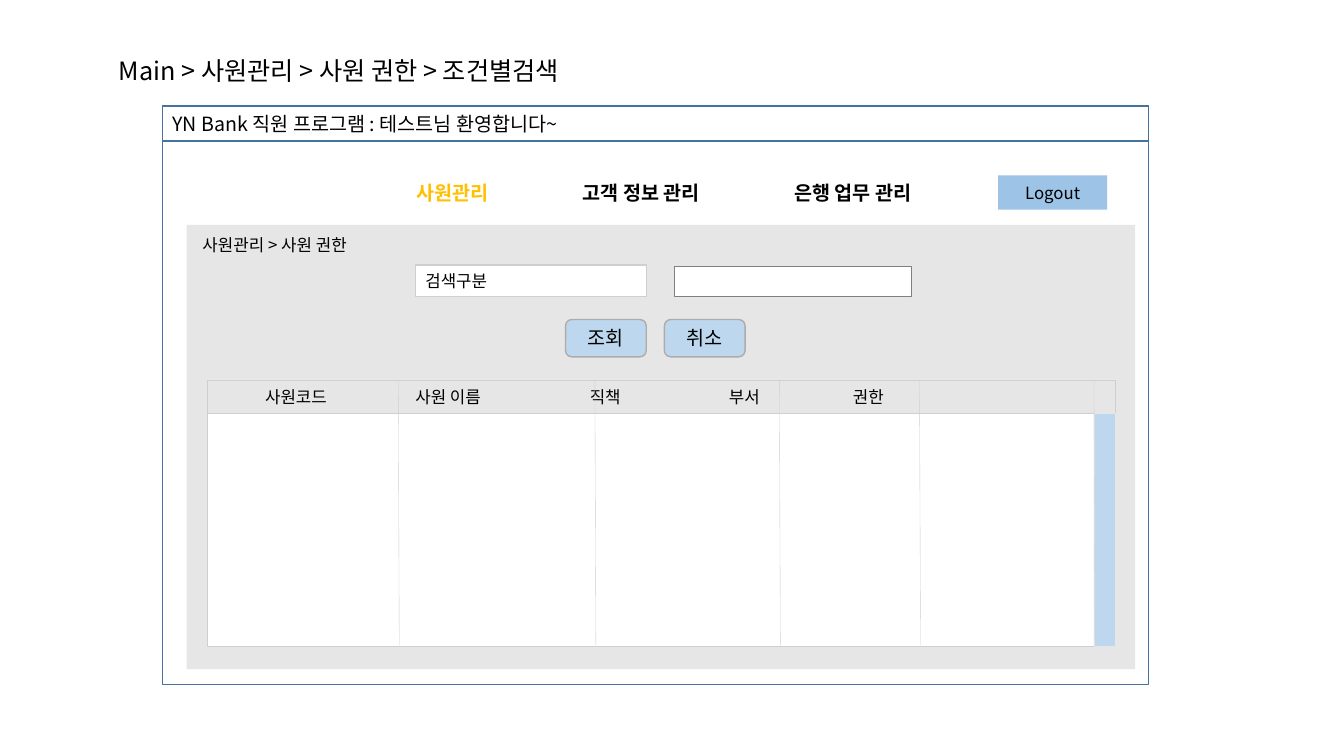
import pptx
import pptx.util
import pptx.dml.color
import pptx.enum.shapes
import pptx.enum.text
import pptx.oxml.ns
from dataclasses import dataclass
from lxml import etree

# Content: boxes are (left, top, width, height) in inches
TITLE = "Main > 사원관리 > 사원 권한 > 조건별검색"
TITLE_BOX = (1.08, 0.5, 8.64, 0.4)
WINDOW_BOX = (1.61, 1.05, 9.78, 5.74)
WELCOME = "YN Bank 직원 프로그램 : 테스트님 환영합니다~"
MENU = [("사원관리", 4.03, True), ("고객 정보 관리", 5.68, False),
        ("은행 업무 관리", 7.78, False)]
MENU_TOP, MENU_W, MENU_H = 1.74, 1.65, 0.34
LOGOUT_BOX = (9.9, 1.74, 1.08, 0.34)
PANEL_BOX = (1.85, 2.23, 9.41, 4.41)
BREADCRUMB = "사원관리 > 사원 권한"
BREADCRUMB_BOX = (1.91, 2.28, 2.59, 0.3)
SEARCH_TYPE_BOX = (4.12, 2.63, 2.29, 0.31)
SEARCH_INPUT_BOX = (6.69, 2.64, 2.35, 0.3)
BUTTONS = ["조회", "취소"]
BUTTON_BOX, BUTTON_STEP = (5.61, 3.17, 0.8, 0.37), 0.98
GRID_LEFT, GRID_TOP, GRID_W, GRID_H = 2.06, 3.77, 9, 2.64
HEADER_H, SCROLL_W = 0.33, 0.21
HEADINGS = [("사원코드", 2.63), ("사원 이름", 4.12), ("직책", 5.85),
            ("부서", 7.23), ("권한", 8.46)]
DIVIDERS = [3.95, 5.9, 7.73, 9.12, 10.85]


@dataclass(frozen=True)
class Theme:
    font: str = "Noto Sans CJK KR"
    title_size: int = 18
    label_size: int = 14
    small_size: int = 12
    text: str = "000000"
    active: str = "FFC000"
    frame: str = "43739E"
    logout: str = "9DC3E6"
    button: str = "BDD7EE"
    button_line: str = "AFABAB"
    panel: str = "E7E6E6"
    rule: str = "D0CECE"
    input_line: str = "808080"
    white: str = "FFFFFF"


THEME = Theme()
RECT = pptx.enum.shapes.MSO_SHAPE.RECTANGLE
ROUND = pptx.enum.shapes.MSO_SHAPE.ROUNDED_RECTANGLE
LEFT, CENTER = pptx.enum.text.PP_ALIGN.LEFT, pptx.enum.text.PP_ALIGN.CENTER
MIDDLE = pptx.enum.text.MSO_ANCHOR.MIDDLE


def inches(values):
    return [pptx.util.Inches(v) for v in values]


def rgb(color):
    return pptx.dml.color.RGBColor.from_string(color)


def write(sp, text, size, align=LEFT, color=THEME.text, bold=False,
          indent=0.1, tabs=()):
    tf = sp.text_frame
    tf.word_wrap = True
    tf.auto_size = pptx.enum.text.MSO_AUTO_SIZE.NONE
    tf.vertical_anchor = MIDDLE
    tf.margin_left, tf.margin_right = inches((indent, 0.1))
    tf.margin_top = tf.margin_bottom = 0
    p = tf.paragraphs[0]
    p.text = text
    p.alignment = align
    if tabs:
        tab_list = etree.SubElement(p._p.get_or_add_pPr(), pptx.oxml.ns.qn("a:tabLst"))
        for tab in tabs:
            etree.SubElement(tab_list, pptx.oxml.ns.qn("a:tab"),
                             pos=str(pptx.util.Inches(tab)), algn="l")
    p.font.size, p.font.bold = pptx.util.Pt(size), bold
    p.font.name = THEME.font
    p.font.color.rgb = rgb(color)
    # Korean glyphs use the East Asian typeface
    defaults = p._p.pPr.find(pptx.oxml.ns.qn("a:defRPr"))
    etree.SubElement(defaults, pptx.oxml.ns.qn("a:ea"), typeface=THEME.font)


def add_box(s, box, fill=None, line=None, width=1, shape=RECT):
    sp = s.shapes.add_shape(shape, *inches(box))
    sp.shadow.inherit = False
    if fill:
        sp.fill.solid()
        sp.fill.fore_color.rgb = rgb(fill)
    else:
        sp.fill.background()
    if line:
        sp.line.color.rgb = rgb(line)
        sp.line.width = pptx.util.Pt(width)
    else:
        sp.line.fill.background()
    return sp


def add_label(s, box, text, size, **style):
    write(s.shapes.add_textbox(*inches(box)), text, size, **style)


def add_divider(s, x):
    line = s.shapes.add_connector(
        pptx.enum.shapes.MSO_CONNECTOR.STRAIGHT,
        *inches((x, GRID_TOP, x + 0.01, GRID_TOP + GRID_H - 0.01)))
    line.line.color.rgb = rgb(THEME.rule)
    line.line.width = pptx.util.Pt(0.25)
    etree.SubElement(line._element.spPr, pptx.oxml.ns.qn("a:effectLst"))


def add_window(s):
    # Window frame and title bar
    add_box(s, WINDOW_BOX, line=THEME.frame)
    bar = add_box(s, (*WINDOW_BOX[:3], 0.35), line=THEME.frame)
    write(bar, WELCOME, THEME.label_size)
    # Main menu
    for text, left, active in MENU:
        add_label(s, (left, MENU_TOP, MENU_W, MENU_H), text, THEME.label_size,
                  color=THEME.active if active else THEME.text, bold=True)
    write(add_box(s, LOGOUT_BOX, THEME.logout), "Logout", THEME.small_size, CENTER)


def add_search(s):
    # Search panel
    add_box(s, PANEL_BOX, THEME.panel)
    add_label(s, BREADCRUMB_BOX, BREADCRUMB, THEME.small_size)
    kind = add_box(s, SEARCH_TYPE_BOX, THEME.white, THEME.rule)
    write(kind, "검색구분", THEME.small_size)
    add_box(s, SEARCH_INPUT_BOX, THEME.white, THEME.input_line, 0.5)
    # Buttons
    left, *rest = BUTTON_BOX
    for i, text in enumerate(BUTTONS):
        button = add_box(s, (left + i * BUTTON_STEP, *rest), THEME.button,
                         THEME.button_line, shape=ROUND)
        write(button, text, THEME.label_size, CENTER)


def add_result_grid(s):
    # Body, header and scroll bar
    add_box(s, (GRID_LEFT, GRID_TOP, GRID_W, GRID_H), THEME.white, THEME.rule, 0.25)
    header = add_box(s, (GRID_LEFT, GRID_TOP, GRID_W, HEADER_H),
                     THEME.panel, THEME.rule, 0.25)
    add_box(s, (GRID_LEFT + GRID_W - SCROLL_W, GRID_TOP + HEADER_H,
                SCROLL_W, GRID_H - HEADER_H), THEME.button, THEME.panel, 0.5)
    for x in DIVIDERS:
        add_divider(s, x)
    # Headings stand on tab stops
    first = HEADINGS[0][1]
    write(header, "\t".join(text for text, _ in HEADINGS), THEME.small_size,
          indent=first - GRID_LEFT, tabs=[x - first for _, x in HEADINGS[1:]])


def main():
    prs = pptx.Presentation()
    prs.slide_width, prs.slide_height = inches((13.33, 7.5))
    s = prs.slides.add_slide(prs.slide_layouts[5])
    title = s.shapes.title
    title.left, title.top, title.width, title.height = inches(TITLE_BOX)
    write(title, TITLE, THEME.title_size)
    add_window(s)
    add_search(s)
    add_result_grid(s)
    prs.save("out.pptx")


if __name__ == "__main__":
    main()
